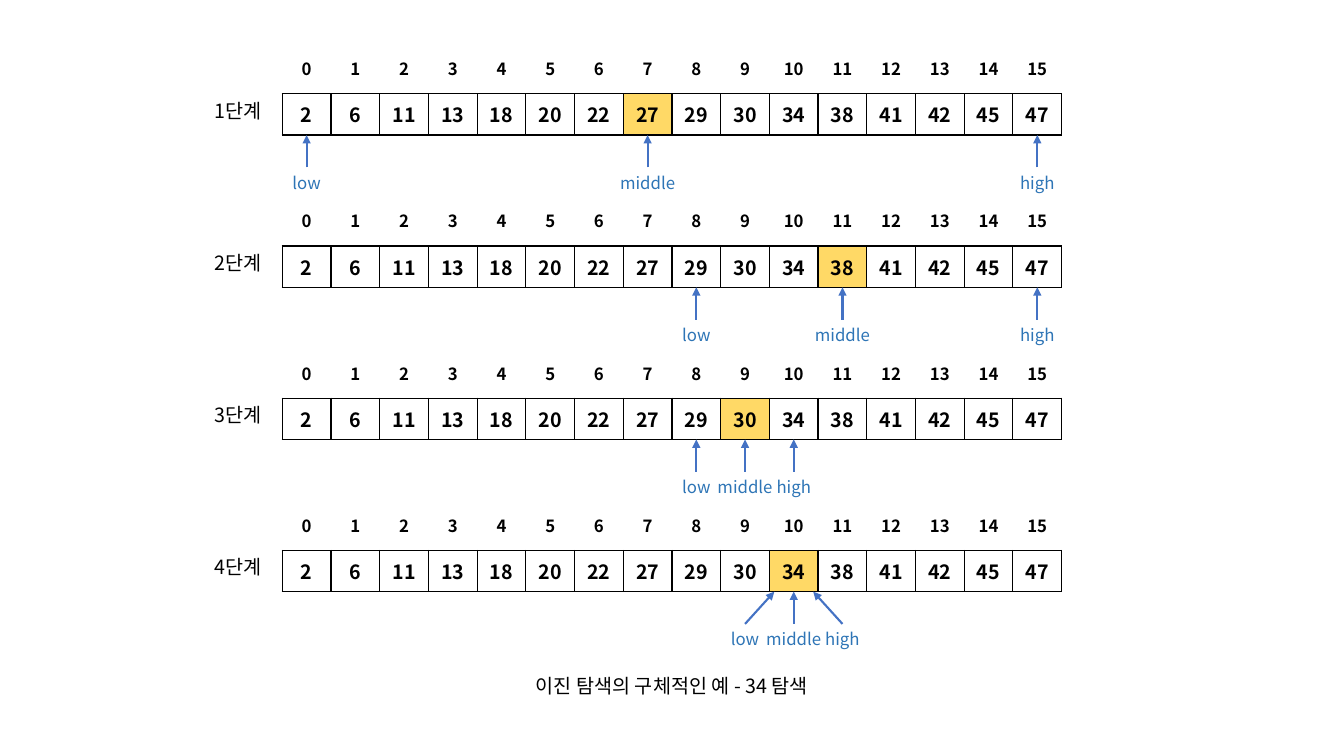
from lxml.etree import SubElement
from pptx import Presentation
from pptx.dml.color import RGBColor
from pptx.enum.shapes import MSO_CONNECTOR
from pptx.enum.text import MSO_ANCHOR, MSO_AUTO_SIZE, PP_ALIGN
from pptx.oxml.ns import qn
from pptx.util import Inches, Pt

FONT = "Noto Sans CJK KR"
BLACK, WHITE, GOLD = "000000", "FFFFFF", "FFD966"
ARROW_BLUE, LABEL_BLUE = "4472C4", "2E75B6"

VALUES = [2, 6, 11, 13, 18, 20, 22, 27, 29, 30, 34, 38, 41, 42, 45, 47]
ARRAY_LEFT, ARRAY_WIDTH, ROW_HEIGHT = 2.8, 7.73, 0.41
COLUMN_WIDTH = ARRAY_WIDTH / len(VALUES)
FIRST_TOP, STEP_PITCH = 0.44, 1.51
LABEL_WIDTH = 0.87

# Middle index of each step, then pointers as (name, label column, tip column)
STEPS = [
    (7, [("low", 0, 0), ("middle", 7, 7), ("high", 15, 15)]),
    (11, [("low", 8, 8), ("middle", 11, 11), ("high", 15, 15)]),
    (9, [("low", 8, 8), ("middle", 9, 9), ("high", 10, 10)]),
    (10, [("low", 9, 9.6), ("middle", 10, 10), ("high", 11, 10.4)]),
]


def color(value):
    return RGBColor.from_string(value)


def write(para, text, size, ink, bold=False):
    para.alignment = PP_ALIGN.CENTER
    span = para.add_run()
    span.text = text
    span.font.size = Pt(size)
    span.font.bold = bold
    span.font.color.rgb = color(ink)
    span.font.name = FONT
    SubElement(span.font._element, qn("a:ea"), typeface=FONT)


def add_label(page, text, left, top, width, height, size, ink):
    box = page.shapes.add_textbox(Inches(left), Inches(top), Inches(width), Inches(height))
    box.text_frame.word_wrap = True
    box.text_frame.auto_size = MSO_AUTO_SIZE.SHAPE_TO_FIT_TEXT
    write(box.text_frame.paragraphs[0], text, size, ink)


def set_borders(cell, ink):
    properties = cell._tc.get_or_add_tcPr()
    for side in ("lnL", "lnR", "lnT", "lnB"):
        border = SubElement(properties, qn(f"a:{side}"), w=str(Pt(1)))
        if ink:
            fill = SubElement(border, qn("a:solidFill"))
            SubElement(fill, qn("a:srgbClr"), val=ink)
        else:
            SubElement(border, qn("a:noFill"))


def add_row(page, entries, top, size, anchor, border=None, highlight=None):
    frame = page.shapes.add_table(1, len(entries), Inches(ARRAY_LEFT), Inches(top),
                                  Inches(ARRAY_WIDTH), Inches(ROW_HEIGHT))
    table = frame.table
    table.first_row = table.horz_banding = False
    for index, entry in enumerate(entries):
        table.columns[index].width = Inches(COLUMN_WIDTH)
        cell = table.cell(0, index)
        cell.vertical_anchor = anchor
        set_borders(cell, border)
        cell.fill.solid()
        cell.fill.fore_color.rgb = color(GOLD if index == highlight else WHITE)
        write(cell.text_frame.paragraphs[0], str(entry), size, BLACK, bold=True)


def column_center(column):
    return ARRAY_LEFT + (column + 0.5) * COLUMN_WIDTH


def add_pointer(page, name, label_column, tip_column, top):
    start, label_top = column_center(label_column), top + 0.32
    arrow = page.shapes.add_connector(
        MSO_CONNECTOR.STRAIGHT, Inches(start), Inches(label_top),
        Inches(column_center(tip_column)), Inches(top))
    arrow.line.color.rgb = color(ARROW_BLUE)
    arrow.line.width = Pt(1.5)
    SubElement(arrow.line._get_or_add_ln(), qn("a:tailEnd"), type="triangle")
    SubElement(arrow._element.spPr, qn("a:effectLst"))
    add_label(page, name, start - LABEL_WIDTH / 2, label_top, LABEL_WIDTH, 0.3, 12, LABEL_BLUE)


def add_step(page, number, top, middle, pointers):
    array_top = top + 0.49
    # Indices above the array
    add_row(page, range(len(VALUES)), top, 12, MSO_ANCHOR.BOTTOM)
    # Array with its step name
    add_row(page, VALUES, array_top, 14, MSO_ANCHOR.MIDDLE, BLACK, middle)
    add_label(page, f"{number}단계", ARRAY_LEFT - LABEL_WIDTH, array_top,
              LABEL_WIDTH, 0.34, 14, BLACK)
    # Pointers below the array
    for name, label_column, tip_column in pointers:
        add_pointer(page, name, label_column, tip_column, array_top + ROW_HEIGHT)


def main():
    deck = Presentation()
    deck.slide_width, deck.slide_height = Inches(13.33), Inches(7.5)
    page = deck.slides.add_slide(deck.slide_layouts[6])
    for position, (middle, pointers) in enumerate(STEPS):
        add_step(page, position + 1, FIRST_TOP + position * STEP_PITCH, middle, pointers)
    # Caption
    add_label(page, "이진 탐색의 구체적인 예 - 34 탐색", 2.88, 6.64, 7.57, 0.34, 14, BLACK)
    deck.save("out.pptx")


if __name__ == "__main__":
    main()
